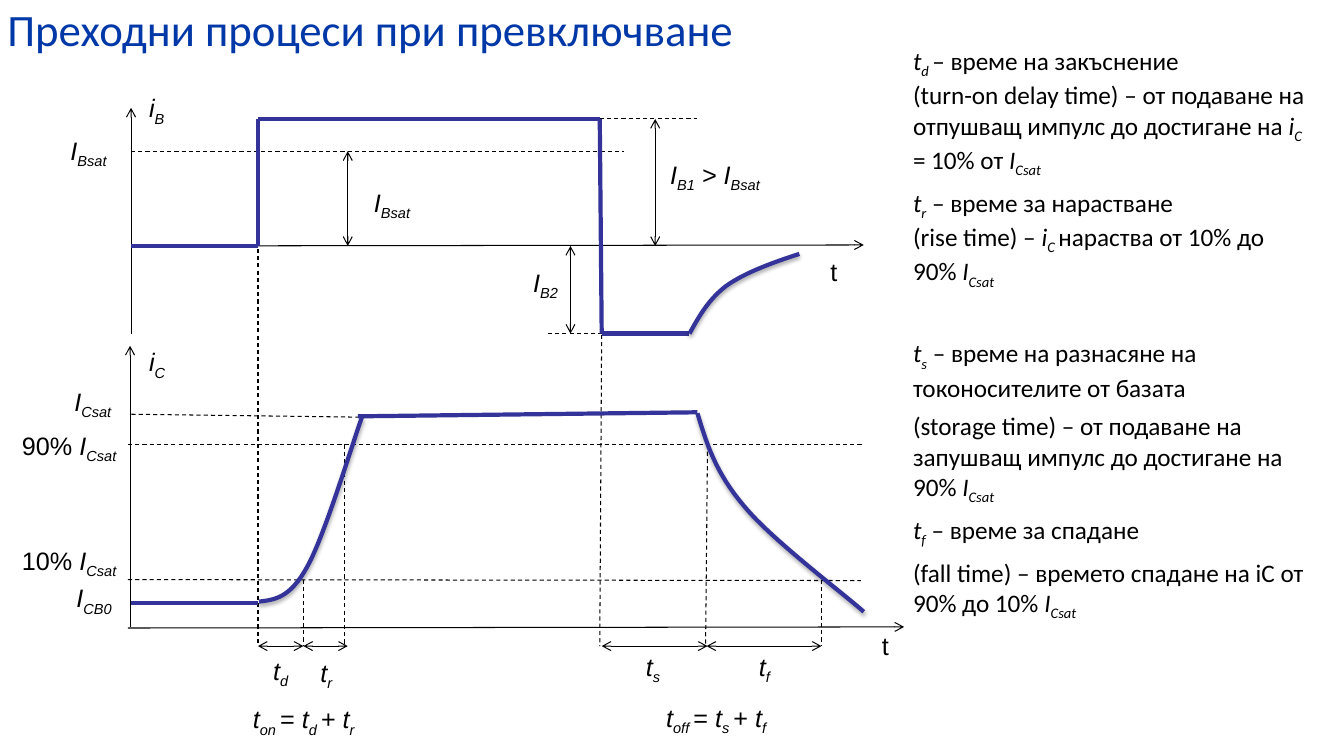
from itertools import pairwise

from pptx import Presentation
from pptx.dml.color import RGBColor
from pptx.enum.dml import MSO_LINE as Dash
from pptx.enum.shapes import MSO_CONNECTOR as Conn
from pptx.enum.text import MSO_AUTO_SIZE as Auto, PP_ALIGN as Align
from pptx.oxml import parse_xml
from pptx.oxml.ns import nsdecls, qn
from pptx.oxml.xmlchemy import OxmlElement as make
from pptx.util import Pt

BLACK = RGBColor(0x00, 0x00, 0x00)
NAVY = RGBColor(0x33, 0x33, 0x99)
BLUE = RGBColor(0x00, 0x38, 0xA8)

# Levels and moments shared by the two graphs, in points
LEFT, ON, OFF, FALL = 93.6, 184.3, 428.4, 505.4
STEP = 429.8                    # base current reaches its low level
ZERO, SAT, HIGH, LOW = 175.7, 108, 85, 238.3
P90, P10, SPAN = 317.5, 414, 461.5

SHADOW = (f'<a:outerShdw {nsdecls("a")} blurRad="39370" dist="22860" dir="5400000" '
          'rotWithShape="0"><a:srgbClr val="000000"><a:alpha val="35000"/>'
          '</a:srgbClr></a:outerShdw>')

# (from, to) of each line
DASHED = [
    (ON, 177.8, ON, SPAN), (STEP, 234, OFF, SPAN), (FALL, P90, 504, SPAN),
    (91.4, P10, 614.9, 414.7), (91.4, P90, 617, P90), (216.7, P10, 216.7, SPAN),
    (267.1, 298.1, LEFT, 295.9), (246.2, P90, 246.2, SPAN),
    (586.8, P10, 586.8, SPAN), (LEFT, SAT, 445.7, SAT),
    (OFF, HIGH, 498.2, HIGH), (435.6, LOW, 390.2, LOW),
]
AXES = [
    (92.9, 447.8, 92.9, 247), (91.4, 448.6, 645.8, 447.8),
    (LEFT, ZERO, 617, 175), (LEFT, LOW, LEFT, 77),
]
SPANS = [
    (ON, SPAN, 216.7, SPAN), (216.7, SPAN, 248.4, SPAN),
    (STEP, SPAN, FALL, SPAN), (504.7, SPAN, 586.8, SPAN),
    (468, HIGH, 468, ZERO), (248.4, SAT, 248.4, ZERO), (407.5, ZERO, 407.5, LOW),
]
TRACES = [
    [(LEFT, ZERO), (ON, ZERO), (ON, HIGH), (OFF, HIGH), (STEP, LOW), (492.5, LOW)],
    [(LEFT, 430.6), (ON, 430.6)],
    [(255.6, 297.4), (498.2, 294.5)],
]
# Each curve is two Bezier pieces that share their middle point
CURVES = [
    [(185, 429.8), (196.6, 428.4), (207.4, 427), (219.6, 404.6),
     (231.8, 383), (252, 316.1), (258.5, 298.1)],
    [(498.2, 295.2), (504.7, 316.8), (511.2, 337.7), (531.4, 361.4),
     (550.8, 385.2), (602.6, 424.1), (617, 437)],
    [(492.5, 238.3), (499, 226.8), (505.4, 214.6), (518.4, 204.5),
     (531.4, 195.1), (550.8, 187.9), (571, 181.4)],
]
# left, top, width, text; "/" opens an italic part and "_" an italic subscript
LABELS = [
    (99.4, 62.6, 51, "/i|_B"), (99.4, 244, 51, "/i|_C"),
    (622.8, 447, 40, "t"), (586, 179.3, 40, "t"),
    (43.2, 92.9, 76, "/I|_Bsat"), (260, 130.3, 76, "/I|_Bsat"),
    (471.6, 110.2, 109, "/I|_B1|/ > I|_Bsat"), (373.7, 187.2, 63, "/I|_B2"),
    (46, 272.2, 94, "/I|_Csat"), (8.6, 303.8, 94, "90% |/I|_Csat"),
    (8.6, 386, 94, "10% |/I|_Csat"), (47.5, 412.6, 66, "/I|_CB0"),
    (188, 464.4, 45, "/t|_d"), (221.8, 465.8, 45, "/t|_r"),
    (454.3, 461.5, 45, "/t|_s"), (535, 461.5, 45, "/t|_f"),
    (173.5, 499, 107, "/t|_on |= |/t|_d |+ |/t|_r"),
    (468.7, 498.2, 107, "/t|_off |= |/t|_s |+ |/t|_f"),
]
NOTES = [
    "/t|_d |– време на закъснение |\n|(turn-on delay time) – от подаване на "
    "отпушващ импулс до достигане на |/i|_C| = 10% от |/I|_Csat",
    "/t|_r| – време за нарастване |\n|(rise time) – |/i|_C |"
    "нараства от 10% до 90% |/I|_Csat",
    "/t|_s| – време на разнасяне на токоносителите от базата",
    "(storage time) – от подаване на запушващ импулс до достигане на 90% |/I|_Csat",
    "/t|_f| – време за спадане",
    "(fall time) – времето спадане на iC от 90% до 10% |/I|_Csat",
]


def style(font, name, size, color):
    font.name, font.size = name, Pt(size)
    font.color.rgb = color


def write(para, text, name):
    """Fill a paragraph with plain, italic and subscript runs."""
    for part in text.split("|"):
        if part == "\n":
            para.add_line_break()
            continue
        run = para.add_run()
        run.text = part.lstrip("/_")
        style(run.font, name, 18, BLACK)
        run.font.italic = part[0] in "/_"
        if part[0] == "_":
            run.font._element.set("baseline", "-25000")


def add_text(slide, left, top, width, height, paras, name, gap=0):
    box = slide.shapes.add_textbox(Pt(left), Pt(top), Pt(width), Pt(height))
    frame = box.text_frame
    frame.word_wrap = True
    frame.auto_size = Auto.SHAPE_TO_FIT_TEXT
    for i, text in enumerate(paras):
        para = frame.add_paragraph() if i else frame.paragraphs[0]
        para.space_after = Pt(gap)
        write(para, text, name)
    return frame


def add_line(slide, ends, color=BLACK, width=0.75, dash=None, tips=()):
    line = slide.shapes.add_connector(Conn.STRAIGHT, *map(Pt, ends))
    line.line.color.rgb = color
    line.line.width = Pt(width)
    if dash:
        line.line.dash_style = dash
    props = line._element.spPr
    for tip in tips:
        end = make(f"a:{tip}")
        end.set("type", "arrow")
        props.find(qn("a:ln")).append(end)
    props.append(make("a:effectLst"))


def bezier(a, b, c, d, steps=16):
    for i in range(1, steps + 1):
        t = i / steps
        u = 1 - t
        yield tuple(Pt(u**3 * p + 3 * u * u * t * q + 3 * u * t * t * r + t**3 * s)
                    for p, q, r, s in zip(a, b, c, d))


def add_curve(slide, nodes):
    form = slide.shapes.build_freeform(*map(Pt, nodes[0]))
    dots = [*bezier(*nodes[:4]), *bezier(*nodes[3:])]
    form.add_line_segments(dots, close=False)
    curve = form.convert_to_shape()
    curve.fill.background()
    curve.line.color.rgb = NAVY
    curve.line.width = Pt(3)
    curve.shadow.inherit = False
    curve._element.spPr.find(qn("a:effectLst")).append(parse_xml(SHADOW))


def set_title(slide, text):
    title = slide.shapes.title
    title.left, title.top = Pt(-2), Pt(-2)
    title.width, title.height = Pt(682), Pt(45.4)
    frame = title.text_frame
    frame.text = text
    frame.auto_size = Auto.NONE
    para = frame.paragraphs[0]
    para.alignment = Align.LEFT
    style(para.runs[0].font, "Calibri", 32, BLUE)


def main():
    deck = Presentation()
    deck.slide_width, deck.slide_height = Pt(960), Pt(540)
    slide = deck.slides.add_slide(deck.slide_layouts[5])
    set_title(slide, "Преходни процеси при превключване")
    for ends in DASHED:
        add_line(slide, ends, dash=Dash.DASH)
    for ends in AXES:
        add_line(slide, ends, tips=["tailEnd"])
    for ends in SPANS:
        add_line(slide, ends, tips=["headEnd", "tailEnd"])
    for trace in TRACES:
        for start, stop in pairwise(trace):
            add_line(slide, start + stop, NAVY, 3)
    for nodes in CURVES:
        add_curve(slide, nodes)
    for left, top, width, text in LABELS:
        add_text(slide, left, top, width, 29, [text], "Arial")
    notes = add_text(slide, 645.1, 28.8, 299.5, 385.2, NOTES, "Calibri", gap=6)
    notes.paragraphs[2].space_before = Pt(28)
    deck.save("out.pptx")


if __name__ == "__main__":
    main()
